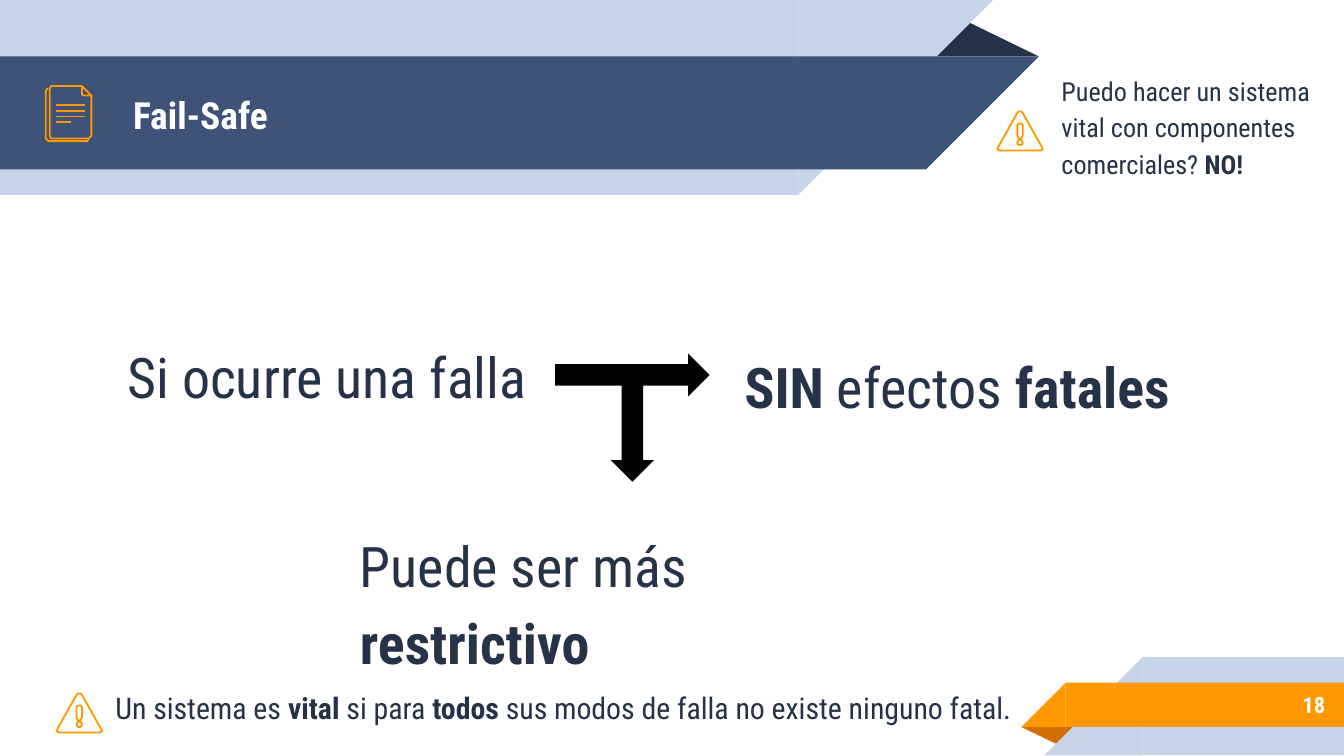
import math

from lxml import etree
from pptx import Presentation
from pptx.dml import color
from pptx.enum import shapes, text
from pptx.oxml import ns
from pptx.util import Inches, Pt

FONT = "Roboto Condensed"
NAVY, BLUE, PALE = "263248", "3F5378", "C7D3E6"
ORANGE, RUST, WHITE, BLACK = "FF9800", "D26F00", "FFFFFF", "000000"
KIND = shapes.MSO_SHAPE
SPACED = {"line_spacing": 1.15, "space_before": Pt(0), "space_after": Pt(10)}


def rgb(value):
    return color.RGBColor.from_string(value)


def add_solid(page, kind, box, fill, rotation=0, adjust=None):
    shape = page.shapes.add_shape(kind, *map(Inches, box))
    shape.shadow.inherit = False
    shape.fill.solid()
    shape.fill.fore_color.rgb = rgb(fill)
    shape.line.fill.background()
    shape.rotation = rotation
    if adjust is not None:
        shape.adjustments[0] = adjust


def style_line(line):
    line.color.rgb = rgb(ORANGE)
    line.width = Pt(0.96)


def add_outline(page, left, top, contours, close=True):
    """Draw contours, given in inches from left and top, as one unfilled shape."""
    paths = [[(Inches(left + x), Inches(top + y)) for x, y in contour]
             for contour in contours]
    builder = page.shapes.build_freeform(*paths[0][0], scale=1.0)
    for index, points in enumerate(paths):
        if index:
            builder.move_to(*points[0])
        builder.add_line_segments(points[1:], close=close)
    shape = builder.convert_to_shape()
    shape.shadow.inherit = False
    shape.fill.background()
    style_line(shape.line)


def add_rule(page, left, top, width):
    rule = page.shapes.add_connector(
        shapes.MSO_CONNECTOR.STRAIGHT,
        *map(Inches, (left, top, left + width, top)))
    style_line(rule.line)
    etree.SubElement(rule.element.spPr, ns.qn("a:effectLst"))


def fill_text(shape, spans, size, fill=NAVY, anchor=text.MSO_ANCHOR.TOP,
              align=text.PP_ALIGN.LEFT, spacing=None):
    """Write spans, each a (wording, bold) pair, as the one paragraph of a shape."""
    frame = shape.text_frame
    frame_format = {"word_wrap": True, "auto_size": text.MSO_AUTO_SIZE.NONE,
                    "vertical_anchor": anchor}
    for side in ("left", "top", "right", "bottom"):
        frame_format["margin_" + side] = Inches(0.1)
    for name, value in frame_format.items():
        setattr(frame, name, value)
    para = frame.paragraphs[0]
    for name, value in {"alignment": align, **(spacing or {})}.items():
        setattr(para, name, value)
    for wording, bold in spans:
        span = para.add_run()
        span.text = wording
        for name, value in {"name": FONT, "size": Pt(size), "bold": bold}.items():
            setattr(span.font, name, value)
        span.font.color.rgb = rgb(fill)


def add_text(page, box, spans, size, **options):
    fill_text(page.shapes.add_textbox(*map(Inches, box)), spans, size, **options)


def draw_header_band(page, top, width, height, fill):
    add_solid(page, KIND.RECTANGLE, (0, top, width, height), fill)
    add_solid(page, KIND.RIGHT_TRIANGLE, (width, top, height, height), fill, 90)


def draw_footer_band(page, left, top, height, fill):
    start = left + height
    add_solid(page, KIND.RECTANGLE, (start, top, 10 - start, height), fill)
    add_solid(page, KIND.RIGHT_TRIANGLE, (left, top, height, height), fill, 270)


def draw_document_icon(page, left, top):
    back = [(0.32, 0.39), (0.31, 0.41), (0.02, 0.41), (0, 0.39),
            (0, 0.04), (0.01, 0.02), (0.02, 0.02)]
    front = [(0.34, 0.07), (0.34, 0.37), (0.32, 0.39), (0.04, 0.39), (0.03, 0.37),
             (0.03, 0.02), (0.04, 0), (0.27, 0)]
    fold = [(0.27, 0.06), (0.27, 0), (0.34, 0.07), (0.28, 0.07)]
    add_outline(page, left, top, [back], close=False)
    add_outline(page, left, top, [front], close=False)
    for row, width in enumerate((0.21, 0.21, 0.21, 0.11)):
        add_rule(page, left + 0.08, top + 0.14 + row * 0.13 / 3, width)
    add_outline(page, left, top, [fold])


def draw_warning_icon(page, left, top):
    sign = [(0.33, 0.26), (0.19, 0.01), (0.18, 0), (0.16, 0), (0.15, 0.01),
            (0.01, 0.26), (0, 0.28), (0.02, 0.29), (0.32, 0.29), (0.34, 0.28)]
    dot = [(0.17 + 0.02 * math.cos(step * math.pi / 8),
            0.23 + 0.02 * math.sin(step * math.pi / 8)) for step in range(16)]
    bar = [(0.19, 0.1), (0.19, 0.18), (0.18, 0.2), (0.16, 0.2), (0.15, 0.18),
           (0.15, 0.1), (0.16, 0.09), (0.18, 0.09)]
    add_outline(page, left, top, [sign, dot, bar])


def draw_header(page):
    add_solid(page, KIND.ISOSCELES_TRIANGLE, (6.88, 0.14, 0.85, 0.28), NAVY,
              adjust=0.324)
    draw_header_band(page, 0, 5.94, 1.45, PALE)
    draw_header_band(page, 0.42, 6.89, 0.84, BLUE)
    draw_document_icon(page, 0.34, 0.64)
    title = page.shapes.title
    title.element.getparent().append(title.element)  # bring in front of the bands
    box = {"left": 0.89, "top": 0.43, "width": 5.75, "height": 0.84}
    for name, value in box.items():
        setattr(title, name, Inches(value))
    fill_text(title, [("Fail-Safe", True)], 20, fill=WHITE,
              anchor=text.MSO_ANCHOR.MIDDLE)


def draw_footer(page):
    add_solid(page, KIND.ISOSCELES_TRIANGLE, (7.6, 5.41, 0.43, 0.14), RUST, 180,
              adjust=0.324)
    draw_footer_band(page, 7.77, 4.89, 0.73, PALE)
    draw_footer_band(page, 7.6, 5.08, 0.33, ORANGE)
    add_text(page, (8.33, 5.07, 1.63, 0.35), [("18", True)], 12, fill=WHITE,
             anchor=text.MSO_ANCHOR.MIDDLE, align=text.PP_ALIGN.RIGHT)


def draw_failure_flow(page):
    statements = [
        ((0.85, 2.37, 3.28, 0.69), [("Si ocurre una falla", False)]),
        ((5.44, 2.45, 3.41, 0.77),
         [("SIN", True), (" efectos ", False), ("fatales", True)]),
        ((2.58, 3.78, 4.43, 0.69),
         [("Puede ser más ", False), ("restrictivo", True)]),
    ]
    for box, spans in statements:
        add_text(page, box, spans, 30, spacing=SPACED)
    add_solid(page, KIND.RIGHT_ARROW, (4.13, 2.63, 1.15, 0.32), BLACK)
    add_solid(page, KIND.RIGHT_ARROW, (4.32, 3.04, 0.77, 0.32), BLACK, 90)


def draw_warning(page, icon, box, spans, size):
    draw_warning_icon(page, *icon)
    add_text(page, box, spans, size, spacing=SPACED)


def main():
    deck = Presentation()
    deck.slide_width = Inches(10)
    deck.slide_height = deck.slide_width * 9 // 16
    page = deck.slides.add_slide(deck.slide_layouts.get_by_name("Title Only"))
    draw_header(page)
    draw_footer(page)
    draw_warning(page, (0.42, 5.16), (0.76, 4.99, 7.05, 0.51),
                 [("Un sistema es ", False), ("vital", True), (" si para ", False),
                  ("todos", True),
                  (" sus modos de falla no existe ninguno fatal.", False)], 16)
    draw_failure_flow(page)
    draw_warning(page, (7.42, 0.83), (7.8, 0.43, 2.16, 1.07),
                 [("Puedo hacer un sistema vital con componentes comerciales? ",
                   False), ("NO!", True)], 14)
    deck.save("out.pptx")


if __name__ == "__main__":
    main()
